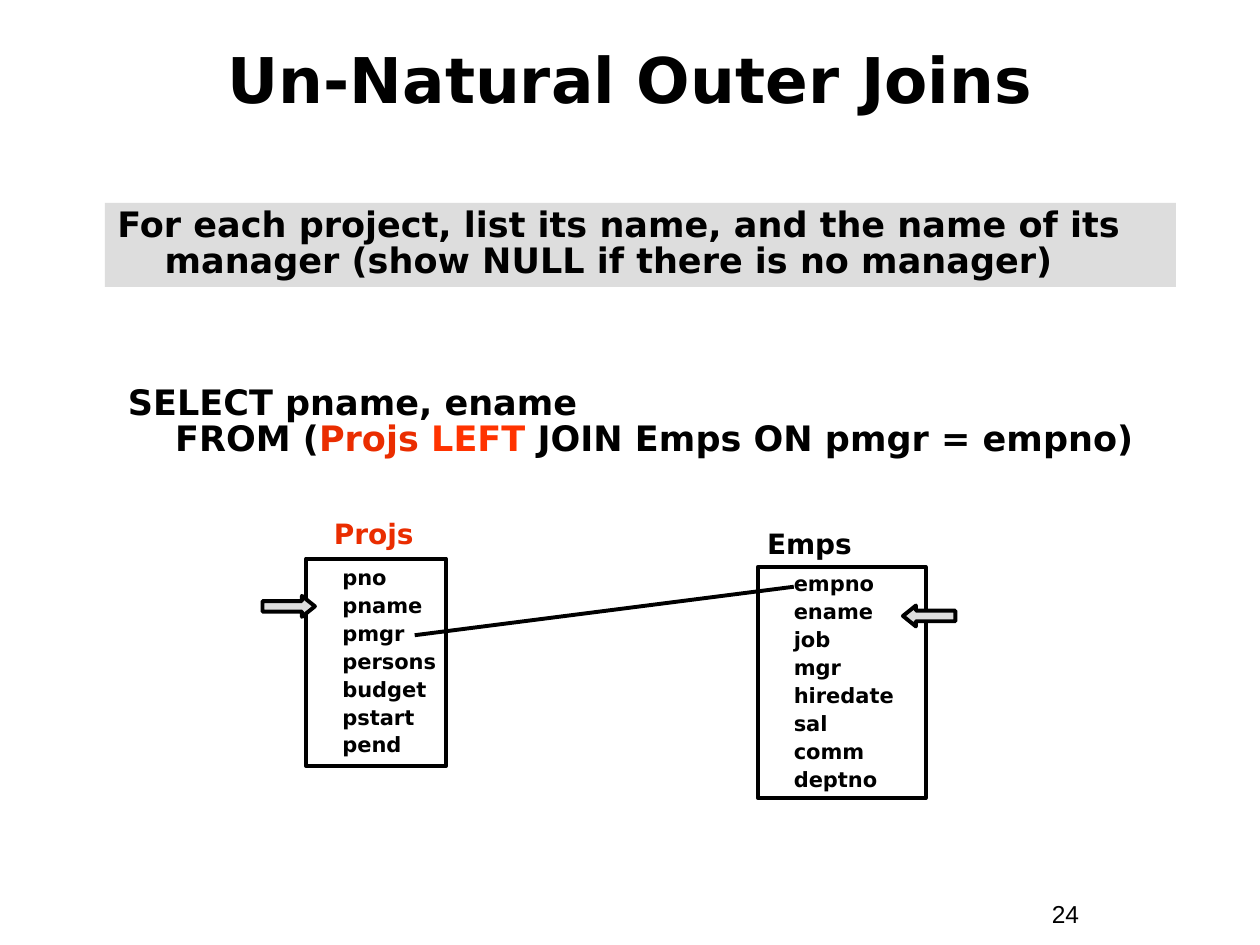
"""Build a slide that explains an outer join between projects and employees."""
from lxml import etree
from pptx import Presentation
from pptx.dml.color import RGBColor
from pptx.enum.shapes import MSO_CONNECTOR, MSO_SHAPE
from pptx.enum.text import MSO_ANCHOR, MSO_AUTO_SIZE, PP_ALIGN
from pptx.oxml.ns import qn
from pptx.util import Pt

RECTANGLE = MSO_SHAPE.RECTANGLE
RIGHT_ARROW = MSO_SHAPE.RIGHT_ARROW
LEFT_ARROW = MSO_SHAPE.LEFT_ARROW
STRAIGHT = MSO_CONNECTOR.STRAIGHT
TOP, MIDDLE = MSO_ANCHOR.TOP, MSO_ANCHOR.MIDDLE
LEFT, CENTER = PP_ALIGN.LEFT, PP_ALIGN.CENTER
NO_AUTOFIT = MSO_AUTO_SIZE.NONE

BLACK = RGBColor(0x00, 0x00, 0x00)
GRAY = RGBColor(0xDD, 0xDD, 0xDD)
RED = RGBColor(0xEA, 0x2D, 0x00)
BRIGHT_RED = RGBColor(0xFF, 0x33, 0x00)
LINE_WIDTH = Pt(2.25)


def write_text(shape, paragraphs, size, font="DejaVu Sans", bold=True, align=LEFT, anchor=TOP,
               spacing=1.0, before=0, margin=0, hanging=0, right_inset=7.2):
    """Fill a shape with paragraphs, each a list of (text, colour) runs."""
    frame = shape.text_frame
    frame.auto_size = NO_AUTOFIT
    frame.word_wrap = True
    frame.vertical_anchor = anchor
    frame.margin_left, frame.margin_right = Pt(7.2), Pt(right_inset)
    frame.margin_top = frame.margin_bottom = Pt(3.6)
    for index, runs in enumerate(paragraphs):
        paragraph = frame.add_paragraph() if index else frame.paragraphs[0]
        paragraph.alignment = align
        paragraph.line_spacing = spacing
        paragraph.space_before = Pt(before)
        properties = paragraph._p.get_or_add_pPr()
        properties.set("marL", str(Pt(margin)))
        properties.set("indent", str(-Pt(hanging)))
        for text, color in runs:
            for line_index, line in enumerate(text.split("\n")):
                if line_index:
                    paragraph.add_line_break()
                run = paragraph.add_run()
                run.text = line
                run.font.name = font
                run.font.size = Pt(size)
                run.font.bold = bold
                run.font.color.rgb = color


def add_box(kind, left, top, width, height, fill=None, outlined=True):
    """Add a preset shape without a shadow."""
    shape = slide.shapes.add_shape(kind, Pt(left), Pt(top), Pt(width), Pt(height))
    shape.shadow.inherit = False
    if fill is None:
        shape.fill.background()
    else:
        shape.fill.solid()
        shape.fill.fore_color.rgb = fill
    if outlined:
        shape.line.color.rgb = BLACK
        shape.line.width = LINE_WIDTH
    else:
        shape.line.fill.background()
    return shape


presentation = Presentation()
presentation.slide_width, presentation.slide_height = Pt(720), Pt(540)
slide = presentation.slides.add_slide(presentation.slide_layouts[5])

title = slide.shapes.title
title.left, title.top, title.width, title.height = Pt(24), Pt(12), Pt(672), Pt(66)
write_text(title, [[("Un-Natural Outer Joins", BLACK)]], 36, align=CENTER, anchor=MIDDLE)

page_number = slide.shapes.add_textbox(Pt(594), Pt(510), Pt(66), Pt(24.5))
write_text(page_number, [[("24", BLACK)]], 14, font="Arial", bold=False, before=8.8)

statement_format = {"size": 20, "spacing": 0.85, "before": 12.5, "margin": 27, "hanging": 27}
query = slide.shapes.add_textbox(Pt(66), Pt(217.5), Pt(612), Pt(48))
query_runs = [
    ("SELECT pname, ename\nFROM (", BLACK),
    ("Projs ", RED),
    ("LEFT", BRIGHT_RED),
    (" JOIN Emps ON pmgr = empno)", BLACK),
]
write_text(query, [query_runs], **statement_format)

question = add_box(RECTANGLE, 60, 116, 612, 48, fill=GRAY, outlined=False)
question_text = ("For each project, list its name, and the name of its "
                 "manager (show NULL if there is no manager)")
write_text(question, [[(question_text, BLACK)]], **statement_format)

tables = [
    ("Emps", BLACK, (431.25, 299.5), (433, 324, 96, 132),
     ["empno", "ename", "job", "mgr", "hiredate", "sal", "comm", "deptno"]),
    ("Projs", RED, (183.75, 294), (175, 319.2, 79.8, 118.6),
     ["pno", "pname", "pmgr", "persons", "budget", "pstart", "pend"]),
]
for name, color, (left, top), bounds, columns in tables:
    label = slide.shapes.add_textbox(Pt(left), Pt(top), Pt(98), Pt(24.5))
    write_text(label, [[(name, color)]], 16, spacing=0.9, before=4)
    table_box = add_box(RECTANGLE, *bounds)
    write_text(table_box, [[(column, BLACK)] for column in columns], 12, anchor=MIDDLE,
               spacing=0.9, before=3, margin=13.5, right_inset=0)

join_line = slide.shapes.add_connector(STRAIGHT, Pt(453.6), Pt(335.3), Pt(237), Pt(363))
join_line.line.color.rgb = BLACK
join_line.line.width = LINE_WIDTH
etree.SubElement(join_line._element.spPr, qn("a:effectLst"))

for kind, left, top in [(RIGHT_ARROW, 150, 340.5), (LEFT_ARROW, 516, 346)]:
    arrow = add_box(kind, left, top, 30, 12, fill=GRAY)
    arrow.adjustments[0] = 0.5
    arrow.adjustments[1] = 0.62

presentation.save("out.pptx")
